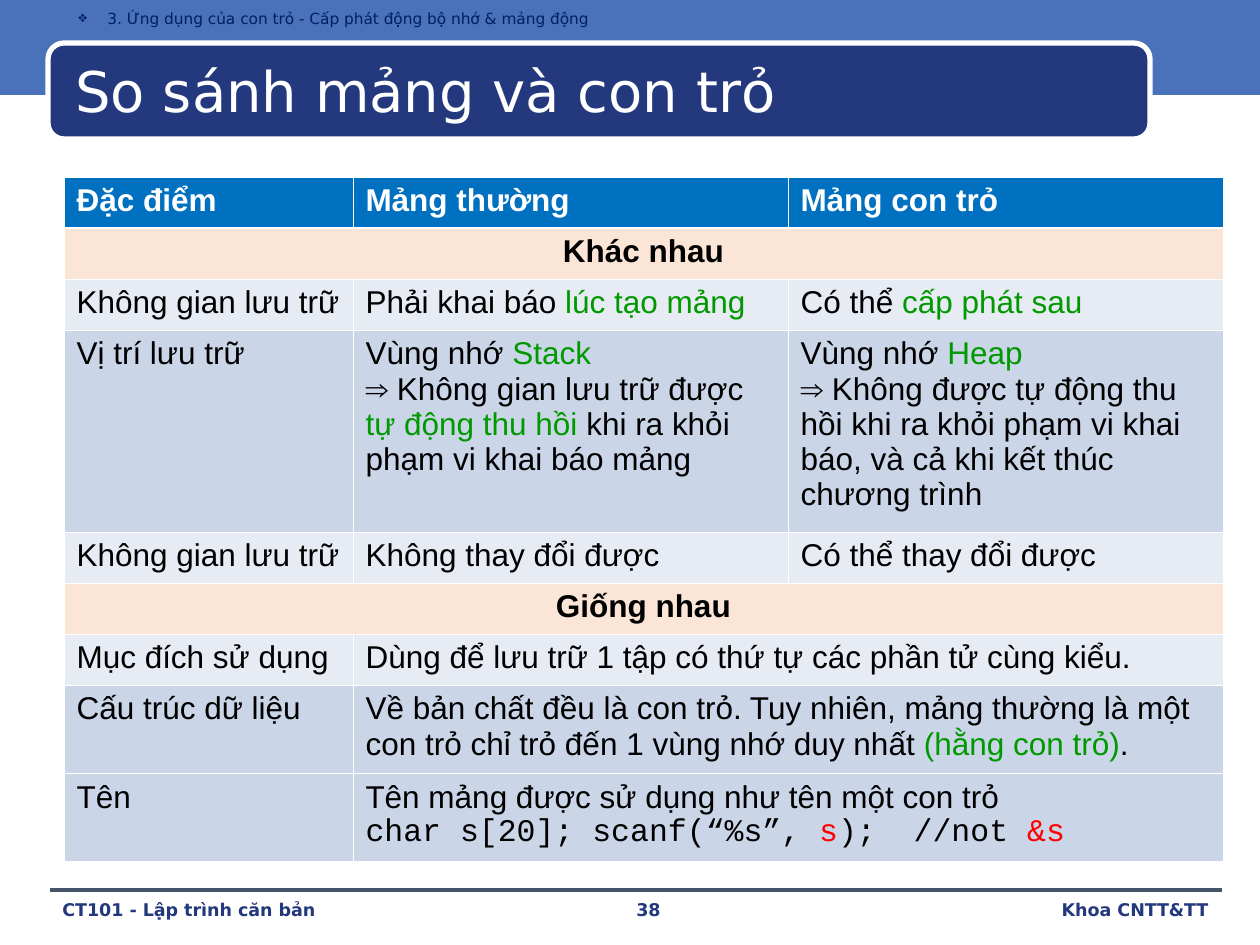
import lxml.etree
import pptx
import pptx.dml.color
import pptx.enum.shapes
import pptx.enum.text
import pptx.oxml.ns
import pptx.util

EMU_PER_PX = 914400 / 126
COLORS = {
    "band": "4972BB", "navy": "23387D", "white": "FFFFFF", "rule": "44546A",
    "section": "002060", "header": "0070C0", "divider": "FBE5D6",
    "light": "E7EBF4", "dark": "CBD5E8", "black": "000000",
    "green": "009900", "red": "FF0000",
}
SANS, BODY, CODE = "DejaVu Sans", "Arial", "Courier New"
qn = pptx.oxml.ns.qn
PP_ALIGN = pptx.enum.text.PP_ALIGN
MIDDLE = pptx.enum.text.MSO_ANCHOR.MIDDLE
SHAPES = pptx.enum.shapes.MSO_SHAPE


def px(*lengths):
    """Turn pixel lengths into a list of EMU."""
    return [pptx.util.Emu(round(length * EMU_PER_PX)) for length in lengths]


def set_font(font, name, size, color, bold=False):
    font.name, font.size, font.bold = name, pptx.util.Pt(size), bold
    font.color.rgb = pptx.dml.color.RGBColor.from_string(COLORS[color])


presentation = pptx.Presentation()
presentation.slide_width, presentation.slide_height = px(1260, 945)
slide = presentation.slides.add_slide(presentation.slide_layouts[6])
shapes = slide.shapes

# Top band and title panel
for kind, box, fill in [
    (SHAPES.RECTANGLE, (0, 0, 1260, 95), "band"),
    (SHAPES.ROUNDED_RECTANGLE, (48, 43, 1102, 96), "navy"),
]:
    shape = shapes.add_shape(kind, *px(*box))
    shape.shadow.inherit = False
    shape.fill.solid()
    shape.fill.fore_color.rgb = pptx.dml.color.RGBColor.from_string(COLORS[fill])
    if kind == SHAPES.RECTANGLE:
        shape.line.fill.background()
    else:
        shape.line.color.rgb = pptx.dml.color.RGBColor.from_string(COLORS["white"])
        shape.line.width = pptx.util.Pt(3)

footer_rule = shapes.add_connector(
    pptx.enum.shapes.MSO_CONNECTOR.STRAIGHT, *px(50, 890, 1222, 890))
footer_rule.line.color.rgb = pptx.dml.color.RGBColor.from_string(COLORS["rule"])
footer_rule.line.width = pptx.util.Pt(0)
lxml.etree.SubElement(footer_rule._element.spPr, qn("a:effectLst"))

# Footer, title and section line
paragraphs = []
for box, text, size, color, bold, spacing in [
    ((50, 892, 1172, 35), "CT101 - Lập trình căn bản\t38\tKhoa CNTT&TT", 10, "navy", True, 1.0),
    ((63, 50, 1096, 88), "So sánh mảng và con trỏ", 32, "white", False, 0.9),
    ((66, 4, 1071, 33), "3. Ứng dụng của con trỏ - Cấp phát động bộ nhớ & mảng động",
     8.8, "section", False, 0.8),
]:
    text_frame = shapes.add_textbox(*px(*box)).text_frame
    text_frame.word_wrap = True
    text_frame.vertical_anchor = MIDDLE
    paragraph = text_frame.paragraphs[0]
    paragraph.text = text
    paragraph.line_spacing = spacing
    paragraphs.append((paragraph, size, color, bold))

footer_properties = paragraphs[0][0]._p.get_or_add_pPr()
tab_list = lxml.etree.SubElement(footer_properties, qn("a:tabLst"))
for position, alignment in zip(px(586, 1146), ("ctr", "r")):
    lxml.etree.SubElement(tab_list, qn("a:tab"), pos=str(position), algn=alignment)

section_properties = paragraphs[2][0]._p.get_or_add_pPr()
indent = px(29)[0]
section_properties.set("marL", str(indent))
section_properties.set("indent", str(-indent))
bullet_color = lxml.etree.SubElement(section_properties, qn("a:buClr"))
lxml.etree.SubElement(bullet_color, qn("a:srgbClr"), val=COLORS["section"])
lxml.etree.SubElement(section_properties, qn("a:buChar"), char="❖")

for paragraph, size, color, bold in paragraphs:
    set_font(paragraph.font, SANS, size, color, bold)

# Comparison table: (height, fill, cells); the last cell of a row spans what is left.
# A cell is a list of paragraphs, a paragraph a list of (text, color, font) runs.
def run(text, color="black", font=BODY):
    return text, color, font


rows = [
    (51, "header", [[[run(title, "white")]]
                    for title in ("Đặc điểm", "Mảng thường", "Mảng con trỏ")]),
    (51, "divider", [[[run("Khác nhau")]]]),
    (51, "light", [[[run("Không gian lưu trữ")]],
                   [[run("Phải khai báo "), run("lúc tạo mảng", "green")]],
                   [[run("Có thể "), run("cấp phát sau", "green")]]]),
    (202, "dark", [[[run("Vị trí lưu trữ")]],
                   [[run("Vùng nhớ "), run("Stack", "green")],
                    [run("⇒ Không gian lưu trữ được "), run("tự động thu hồi ", "green"),
                     run("khi ra khỏi phạm vi khai báo mảng")]],
                   [[run("Vùng nhớ "), run("Heap", "green")],
                    [run("⇒ Không được tự động thu hồi khi ra khỏi phạm vi khai báo, "
                         "và cả khi kết thúc chương trình")]]]),
    (51, "light", [[[run("Không gian lưu trữ")]],
                   [[run("Không thay đổi được")]],
                   [[run("Có thể thay đổi được")]]]),
    (51, "divider", [[[run("Giống nhau")]]]),
    (51, "light", [[[run("Mục đích sử dụng")]],
                   [[run("Dùng để lưu trữ 1 tập có thứ tự các phần tử cùng kiểu.")]]]),
    (88, "dark", [[[run("Cấu trúc dữ liệu")]],
                  [[run("Về bản chất đều là con trỏ. Tuy nhiên, mảng thường là một "
                        "con trỏ chỉ trỏ đến 1 vùng nhớ duy nhất "),
                    run("(hằng con trỏ)", "green"), run(".")]]]),
    (88, "dark", [[[run("Tên")]],
                  [[run("Tên mảng được sử dụng như tên một con trỏ")],
                   [run("char s[20]; scanf(“%s”, ", font=CODE), run("s", "red", CODE),
                    run(");  //not ", font=CODE), run("&s", "red", CODE)]]]),
]
column_widths = px(289, 435, 435)
table = shapes.add_table(len(rows), 3, *px(64, 177, 1159, 684)).table
table.horz_banding = False
for column, width in zip(table.columns, column_widths):
    column.width = width

for row_index, (height, fill, contents) in enumerate(rows):
    table.rows[row_index].height = px(height)[0]
    for cell in table.rows[row_index].cells:
        properties = cell._tc.get_or_add_tcPr()
        for side in "LRTB":
            thick = (row_index, side) in ((0, "B"), (1, "T"))
            border = lxml.etree.SubElement(
                properties, qn(f"a:ln{side}"), w=str(pptx.util.Pt(1.47 if thick else 0.45)))
            border_fill = lxml.etree.SubElement(border, qn("a:solidFill"))
            lxml.etree.SubElement(border_fill, qn("a:srgbClr"), val=COLORS["white"])
        cell.fill.solid()
        cell.fill.fore_color.rgb = pptx.dml.color.RGBColor.from_string(COLORS[fill])

    last = len(contents) - 1
    if last < 2:
        table.cell(row_index, last).merge(table.cell(row_index, 2))
    for column_index, cell_paragraphs in enumerate(contents):
        text_frame = table.cell(row_index, column_index).text_frame
        for paragraph_index, runs in enumerate(cell_paragraphs):
            paragraph = text_frame.add_paragraph() if paragraph_index else text_frame.paragraphs[0]
            if fill == "divider":
                paragraph.alignment = PP_ALIGN.CENTER
            bold = fill in ("header", "divider")
            if len(runs) == 1:
                paragraph.text = runs[0][0]
                set_font(paragraph.font, runs[0][2], 18, runs[0][1], bold)
                continue
            for text, color, font in runs:
                text_run = paragraph.add_run()
                text_run.text = text
                set_font(text_run.font, font, 18, color, bold)

presentation.save("out.pptx")
